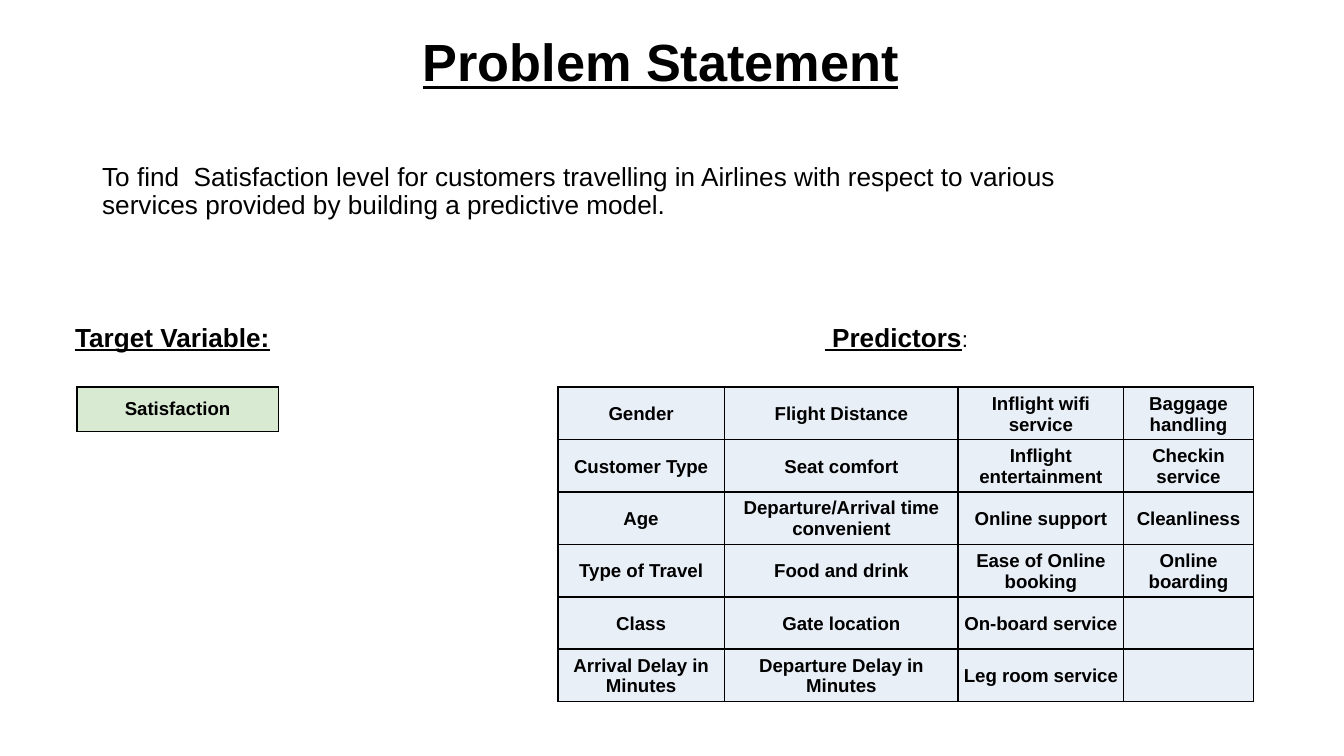
from dataclasses import dataclass

from lxml.etree import SubElement
from pptx import Presentation
from pptx.dml.color import RGBColor
from pptx.enum.text import MSO_ANCHOR, MSO_AUTO_SIZE, PP_ALIGN
from pptx.oxml.ns import qn
from pptx.util import Cm, Pt


@dataclass(frozen=True)
class Theme:
    """Colours and type sizes of the slide."""

    font: str = "Arial"
    ink: str = "000000"
    predictor_fill: str = "E9EFF7"
    target_fill: str = "D9EAD3"
    title_size: int = 28
    body_size: int = 14
    colon_size: int = 12
    cell_size: int = 10
    border_width: int = 1


THEME = Theme()

PREDICTORS = [
    ["Gender", "Flight Distance", "Inflight wifi service", "Baggage handling"],
    ["Customer Type", "Seat comfort", "Inflight entertainment", "Checkin service"],
    ["Age", "Departure/Arrival time convenient", "Online support", "Cleanliness"],
    ["Type of Travel", "Food and drink", "Ease of Online booking", "Online boarding"],
    ["Class", "Gate location", "On-board service", ""],
    ["Arrival Delay in Minutes", "Departure Delay in Minutes", "Leg room service", ""],
]


def format_font(font, size, bold=False, underline=False):
    """Apply the theme typeface and ink with the given size and emphasis."""
    font.name = THEME.font
    font.size = Pt(size)
    font.bold = bold
    font.underline = underline
    font.color.rgb = RGBColor.from_string(THEME.ink)


def set_margins(target, horizontal, top, bottom):
    """Set the inner margins of a text frame or a cell in centimetres."""
    target.margin_left = target.margin_right = Cm(horizontal)
    target.margin_top, target.margin_bottom = Cm(top), Cm(bottom)


def fill_placeholder(shape, text, box, size, alignment, anchor, emphasis=False):
    """Move a placeholder and give it one formatted paragraph."""
    shape.left, shape.top, shape.width, shape.height = map(Cm, box)
    text_frame = shape.text_frame
    text_frame.text = text
    text_frame.word_wrap = True
    text_frame.auto_size = MSO_AUTO_SIZE.NONE
    text_frame.vertical_anchor = anchor
    set_margins(text_frame, 0.18, 0.1, 0.1)
    paragraph = text_frame.paragraphs[0]
    paragraph.alignment = alignment
    paragraph.line_spacing = 0.9
    paragraph.space_before = Pt(0)
    format_font(paragraph.runs[0].font, size, emphasis, emphasis)


def add_headings(slide, box, tab_position):
    """Add the two table headings on one line, parted by a tab stop."""
    text_frame = slide.shapes.add_textbox(*map(Cm, box)).text_frame
    text_frame.word_wrap = True
    set_margins(text_frame, 0.18, 0.66, 0.1)
    paragraph = text_frame.paragraphs[0]
    tab_list = SubElement(paragraph._p.get_or_add_pPr(), qn("a:tabLst"))
    SubElement(tab_list, qn("a:tab"), pos=str(Cm(tab_position)), algn="l")
    for text, size, bold, underline in [
        ("Target Variable:", THEME.body_size, True, True),
        ("\t", THEME.body_size, True, False),
        (" Predictors", THEME.body_size, True, True),
        (":", THEME.colon_size, False, False),
    ]:
        run = paragraph.add_run()
        run.text = text
        format_font(run.font, size, bold, underline)


def add_borders(cell):
    """Draw a solid line on all four sides of a cell."""
    properties = cell._tc.get_or_add_tcPr()
    for side in ("lnL", "lnR", "lnT", "lnB"):
        line = SubElement(properties, qn(f"a:{side}"), w=str(Pt(THEME.border_width)))
        fill = SubElement(line, qn("a:solidFill"))
        SubElement(fill, qn("a:srgbClr"), val=THEME.ink)


def format_cell(cell, text, color, margins):
    """Write a centred bold label in a bordered, filled cell."""
    add_borders(cell)
    cell.fill.solid()
    cell.fill.fore_color.rgb = RGBColor.from_string(color)
    cell.vertical_anchor = MSO_ANCHOR.MIDDLE
    set_margins(cell, *margins)
    paragraph = cell.text_frame.paragraphs[0]
    paragraph.text = text
    paragraph.alignment = PP_ALIGN.CENTER
    for run in paragraph.runs:
        format_font(run.font, THEME.cell_size, bold=True)


def add_grid(slide, rows, left, top, column_widths, row_height, color, margins):
    """Add a table of labels with equal row heights."""
    table = slide.shapes.add_table(
        len(rows), len(column_widths), Cm(left), Cm(top),
        Cm(sum(column_widths)), Cm(row_height * len(rows)),
    ).table
    table.first_row = table.horz_banding = False
    for column, width in zip(table.columns, column_widths):
        column.width = Cm(width)
    for row, labels in zip(table.rows, rows):
        row.height = Cm(row_height)
        for cell, label in zip(row.cells, labels):
            format_cell(cell, label, color, margins)


def main():
    """Build the problem statement slide and save it."""
    presentation = Presentation()
    presentation.slide_width, presentation.slide_height = Cm(25.4), Cm(14.29)
    slide = presentation.slides.add_slide(presentation.slide_layouts[0])
    fill_placeholder(
        slide.shapes.title, "Problem Statement", (4.75, 0.51, 15.47, 1.35),
        THEME.title_size, PP_ALIGN.CENTER, MSO_ANCHOR.BOTTOM, emphasis=True,
    )
    fill_placeholder(
        slide.placeholders[1],
        "To find  Satisfaction level for customers travelling in Airlines with respect "
        "to various services provided by building a predictive model.",
        (1.75, 3, 19.43, 1.47), THEME.body_size, PP_ALIGN.LEFT, MSO_ANCHOR.TOP,
    )
    add_headings(slide, (1.24, 5.49, 22.48, 2.77), tab_position=14.17)
    table_top = 7.32
    add_grid(
        slide, PREDICTORS, 10.54, table_top, (3.15, 4.42, 3.12, 2.46), 0.99,
        THEME.predictor_fill, margins=(0.03, 0.03, 0),
    )
    add_grid(
        slide, [["Satisfaction"]], 1.45, table_top, (3.81,), 0.84,
        THEME.target_fill, margins=(0.2, 0.1, 0.1),
    )
    presentation.save("out.pptx")


if __name__ == "__main__":
    main()
